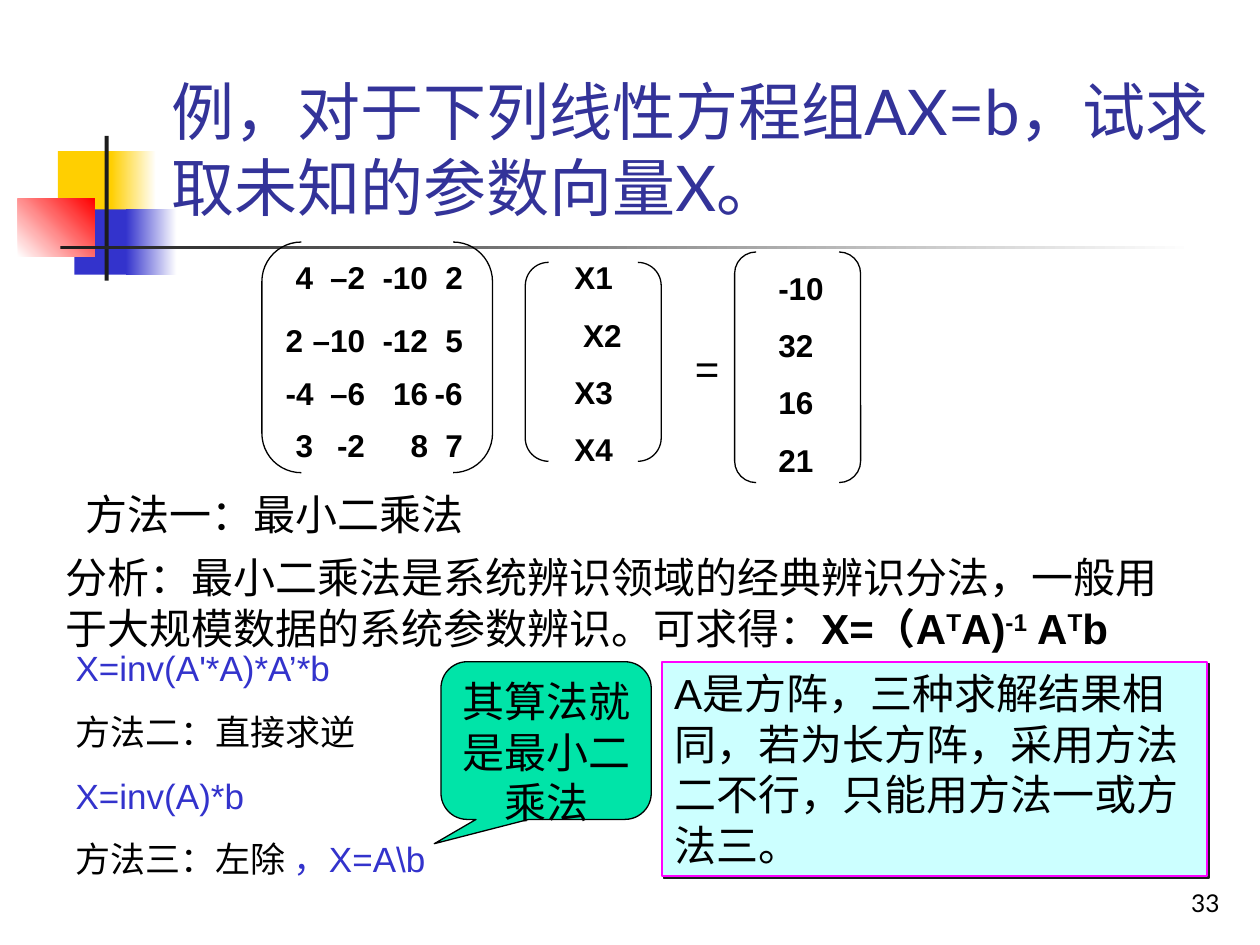
from dataclasses import dataclass

from lxml.etree import SubElement
from pptx import Presentation
from pptx.dml.color import RGBColor
from pptx.enum.shapes import MSO_SHAPE
from pptx.enum.text import MSO_ANCHOR, MSO_AUTO_SIZE, PP_ALIGN
from pptx.oxml.ns import qn
from pptx.util import Cm, Pt


@dataclass(frozen=True)
class Theme:
    title: str = "333399"
    ink: str = "000000"
    code: str = "3333CC"
    gold: str = "FFCF01"
    red: str = "FF0000"
    dark: str = "1C1C1C"
    white: str = "FFFFFF"
    mint: str = "00E4A8"
    pale: str = "CCFFFF"
    pink: str = "FF00FF"
    sans: str = "Arial"
    head: str = "Lato"
    huge: float = 36
    large: float = 24
    mid: float = 20
    cell: float = 18
    small: float = 14


T = Theme()


def rgb(code):
    return RGBColor.from_string(code)


def cm(box):
    return [Cm(v) for v in box]


def style(par, size, color=T.ink, name=T.sans, bold=False, gap=0, align=PP_ALIGN.LEFT):
    par.alignment = align
    par.space_before = Pt(gap)
    font = par.font
    font.size, font.name, font.bold = Pt(size), name, bold
    font.color.rgb = rgb(color)


def fill_text(frame, lines, size, **look):
    frame.word_wrap = True
    frame.auto_size = MSO_AUTO_SIZE.NONE
    for i, line in enumerate(lines):
        par = frame.add_paragraph() if i else frame.paragraphs[0]
        par.text = line
        style(par, size, **look)
    return frame


def text(slide, box, lines, size, **look):
    return fill_text(slide.shapes.add_textbox(*cm(box)).text_frame, lines, size, **look)


def shape(slide, kind, box, fill=None, line=None, width=0.75):
    item = slide.shapes.add_shape(kind, *cm(box))
    item.shadow.inherit = False
    if fill:
        item.fill.solid()
        item.fill.fore_color.rgb = rgb(fill)
    else:
        item.fill.background()
    if line:
        item.line.color.rgb = rgb(line)
        item.line.width = Pt(width)
    else:
        item.line.fill.background()
    return item


def fade(item, start, end, angle=0):
    item.fill.gradient()
    item.fill.gradient_angle = angle
    for stop, color in zip(item.fill.gradient_stops, (start, end)):
        stop.color.rgb = rgb(color)


def set_tabs(par, stops):
    """Add right-aligned tab stops, given in cm."""
    tabs = SubElement(par._p.get_or_add_pPr(), qn("a:tabLst"))
    for stop in stops:
        SubElement(tabs, qn("a:tab"), pos=str(Cm(stop)), algn="r")


def emblem(slide, x, y):
    """Coloured squares, upright bar and fading rule beside the title."""
    parts = [
        (0.81, 0.31, 1.22, 1.32, T.gold, None, 0),
        (1.88, 0.31, 0.91, 1.32, T.gold, T.white, 0),
        (1.14, 1.48, 1.17, 1.32, T.code, None, 0),
        (2.18, 1.48, 1.02, 1.32, T.code, T.white, 0),
        (0, 1.27, 1.55, 1.17, T.white, T.red, 45),
        (1.75, 0, 0.08, 2.92, T.dark, None, 0),
        (0.86, 2.21, 22.86, 0.08, T.dark, T.white, 0),
    ]
    for dx, dy, w, h, color, end, angle in parts:
        item = shape(slide, MSO_SHAPE.RECTANGLE, (x + dx, y + dy, w, h), color)
        if end:
            fade(item, color, end, angle)


def bracket(slide, box):
    item = shape(slide, MSO_SHAPE.DOUBLE_BRACKET, box, line=T.ink)
    item.adjustments[0] = 0.171


def system(slide, x, y):
    """The equation AX = b."""
    bold = dict(bold=True, gap=11.2)
    bracket(slide, (x, y, 4.65, 4.65))
    rows = [
        (0.43, 0.2, "4\t–2\t-10\t2"),
        (0.23, 1.47, "2\t–10\t-12\t5"),
        (0.23, 2.54, "-4\t–6\t16\t-6"),
        (0.43, 3.58, "3\t-2\t8\t7"),
    ]
    for dx, dy, row in rows:
        frame = text(slide, (x + dx, y + dy, 5.5, 1.02), [], T.cell)
        par = frame.paragraphs[0]
        set_tabs(par, [stop - dx for stop in (1.83, 3.1, 3.8)])
        par.text = row
        style(par, T.cell, **bold)

    bracket(slide, (x + 5.31, y + 0.41, 2.74, 4.01))
    text(slide, (x + 6.05, y + 0.2, 1.65, 4.5), ["X1", " X2", "X3", "X4"], T.cell, **bold)
    text(slide, (x + 8.48, y + 1.9, 2.34, 1.27), ["="], T.large, gap=15)
    bracket(slide, (x + 9.53, y + 0.2, 2.54, 4.65))
    text(slide, (x + 10.16, y + 0.41, 1.47, 4.5), ["-10", "32", "16", "21"], T.cell, **bold)


def heading(slide, box):
    item = slide.shapes.title
    item.left, item.top, item.width, item.height = cm(box)
    frame = fill_text(item.text_frame, ["例，对于下列线性方程组AX=b，试求取未知的参数向量X。"],
                      T.huge, color=T.title, name=T.head)
    frame.vertical_anchor = MSO_ANCHOR.BOTTOM


def analysis(slide, box):
    frame = text(slide, box,
                 ["分析：最小二乘法是系统辨识领域的经典辨识分法，一般用于大规模数据的系统参数辨识。可求得："],
                 T.large, gap=15)
    for i, part in enumerate(["X=（A", "T", "A)", "-1", " A", "T", "b"]):
        run = frame.paragraphs[0].add_run()
        run.text = part
        run.font.bold = True
        if i % 2:
            run.font._element.set("baseline", "30000")


def methods(slide, box):
    item = slide.placeholders[1]
    item.left, item.top, item.width, item.height = cm(box)
    lines = ["X=inv(A'*A)*A’*b", "方法二：直接求逆", "X=inv(A)*b", "方法三：左除"]
    frame = fill_text(item.text_frame, lines, T.mid, gap=12.5)
    for i, par in enumerate(frame.paragraphs):
        props = par._p.get_or_add_pPr()
        props.set("marL", "0")
        props.set("indent", "0")
        bare = SubElement(props, qn("a:buNone"))
        props.find(qn("a:defRPr")).addprevious(bare)
        par.font.color.rgb = rgb(T.ink if i % 2 else T.code)
    run = frame.paragraphs[-1].add_run()
    run.text = " ，X=A\\b"
    run.font.color.rgb = rgb(T.code)


def note(slide, box):
    item = shape(slide, MSO_SHAPE.RECTANGLE, box, T.pale, T.pink, 1)
    effects = item._element.spPr.find(qn("a:effectLst"))
    drop = SubElement(effects, qn("a:outerShdw"), dist=str(Pt(1.4)), dir="2700000")
    SubElement(drop, qn("a:srgbClr"), val=T.dark)
    frame = fill_text(item.text_frame,
                      ["A是方阵，三种求解结果相同，若为长方阵，采用方法二不行，只能用方法一或方法三。"], T.large)
    frame.vertical_anchor = MSO_ANCHOR.TOP


def callout(slide, box):
    item = shape(slide, MSO_SHAPE.ROUNDED_RECTANGULAR_CALLOUT, box, T.mint, T.ink)
    for i, value in enumerate((-0.532, 0.654, 0.167)):
        item.adjustments[i] = value
    frame = fill_text(item.text_frame, ["其算法就是最小二乘法"], T.large, align=PP_ALIGN.CENTER)
    frame.vertical_anchor = MSO_ANCHOR.TOP


def number(slide, box):
    frame = text(slide, box, ["33"], T.small, name=T.head, align=PP_ALIGN.RIGHT)
    frame.vertical_anchor = MSO_ANCHOR.BOTTOM


def main():
    deck = Presentation()
    deck.slide_width, deck.slide_height = Cm(25.4), Cm(19.05)
    slide = deck.slides.add_slide(deck.slide_layouts[1])
    emblem(slide, 0.36, 2.74)
    number(slide, (19.56, 17.35, 5.28, 1.27))
    heading(slide, (3.2, 0.58, 21.64, 4.06))
    system(slide, 5.28, 4.88)
    analysis(slide, (1.07, 11, 23.06, 2.29))
    methods(slide, (1.27, 12.9, 20.32, 4.98))
    text(slide, (1.47, 9.73, 12.9, 1.27), ["方法一：最小二乘法"], T.large, gap=15)
    note(slide, (13.34, 13.34, 11, 4.32))
    callout(slide, (8.89, 13.34, 4.24, 3.18))
    deck.save("out.pptx")


if __name__ == "__main__":
    main()
